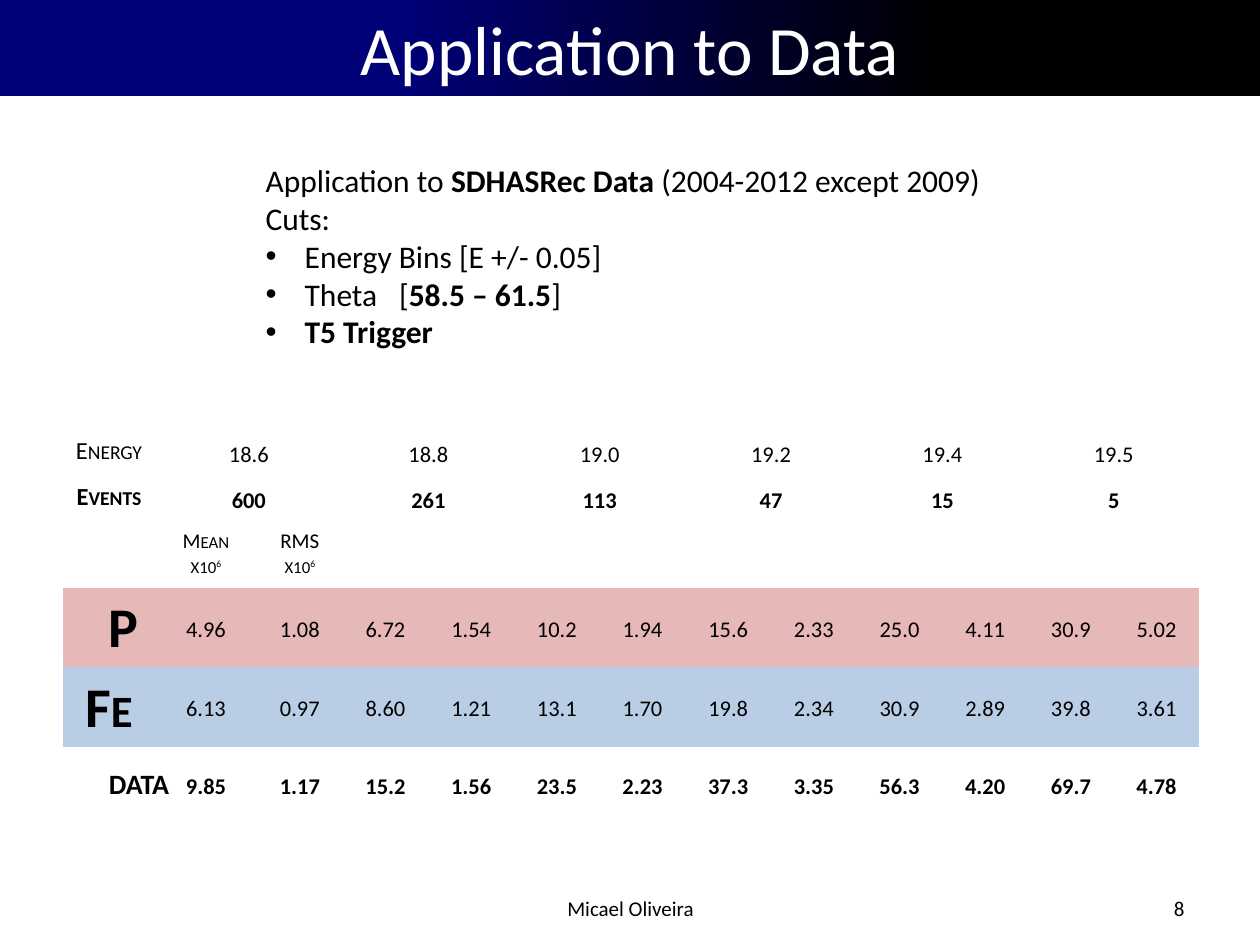
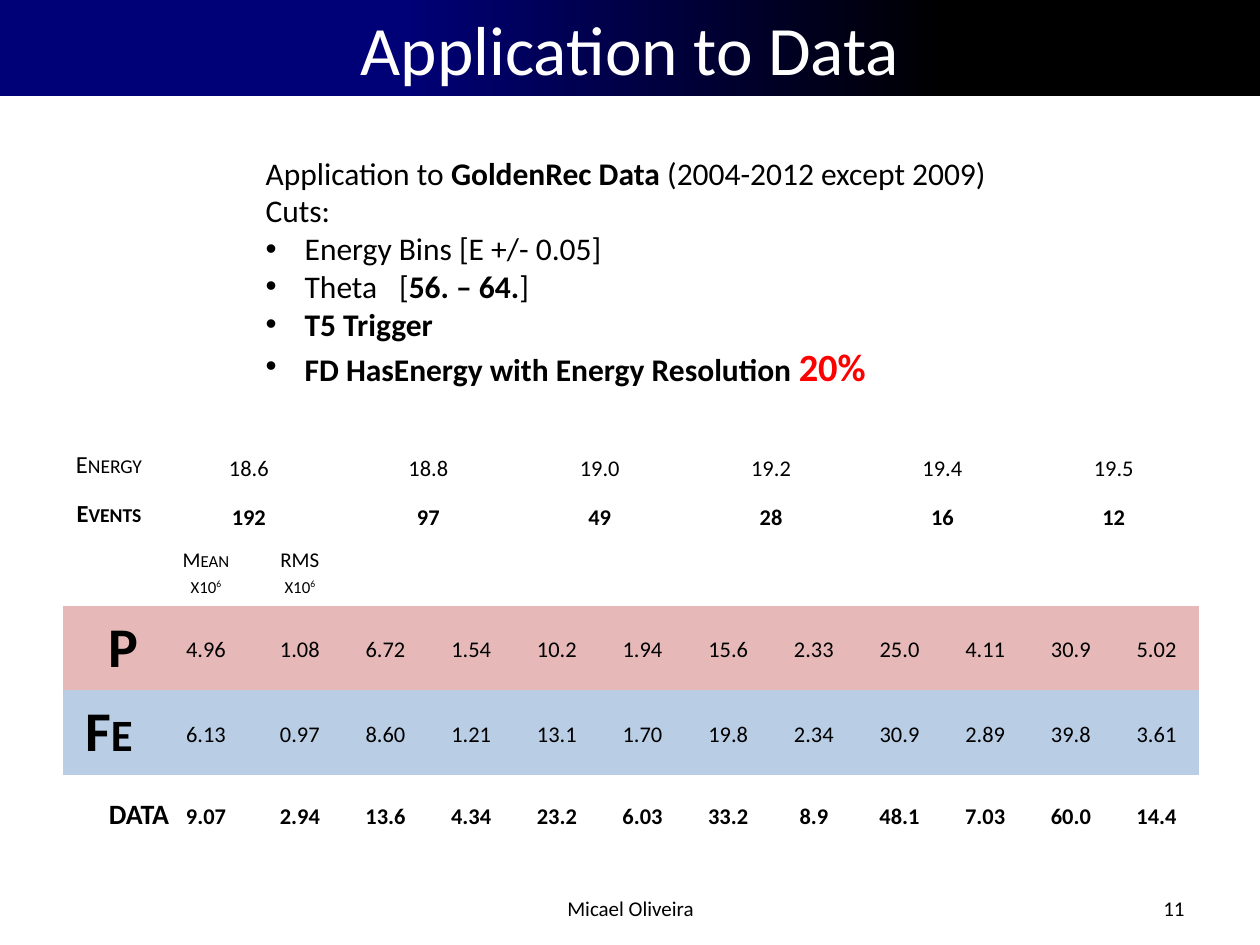
import pptx
import pptx.dml.color
import pptx.enum.text
import pptx.oxml
import pptx.oxml.ns
import pptx.util
from lxml import etree

FONT = "Calibri"
COLORS = {"navy": "000077", "black": "000000", "white": "FFFFFF",
          "proton": "E6B9B8", "iron": "B9CDE5", "alert": "FF0000"}
PLAIN_TABLE = "{2D5ABB26-0587-4C30-8999-92F81FD0307C}"
ALIGN = pptx.enum.text.PP_ALIGN
MIDDLE = pptx.enum.text.MSO_ANCHOR.MIDDLE

# The slide is a grid of 100 columns by 75 rows
prs = pptx.Presentation()
prs.slide_width = pptx.util.Inches(10)
prs.slide_height = pptx.util.Inches(7.5)
COL = prs.slide_width / 100
ROW = prs.slide_height / 75

# Regions as left, top, width, height on the grid
TITLE_BOX = (0, 0, 100, 7.6)
AUTHOR_BOX = (34.2, 70.1, 31.7, 4)
NUMBER_BOX = (71.7, 70.1, 23.3, 4)

COLUMN_WIDTHS = [7.3, 8.1] + [6.8] * 11
ENERGIES = ["18.6", "18.8", "19.0", "19.2", "19.4", "19.5"]
PROTON = "4.96 1.08 6.72 1.54 10.2 1.94 15.6 2.33 25.0 4.11 30.9 5.02".split()
IRON = "6.13 0.97 8.60 1.21 13.1 1.70 19.8 2.34 30.9 2.89 39.8 3.61".split()

# Each cut is a list of (text, run options)
BOLD = {"bold": True}
SLIDES = [
    {"number": "8", "source": "SDHASRec Data", "theta": "58.5 – 61.5",
     "extra_cuts": [],
     "cuts_box": (20.1, 12.3, 59.7, 16.2),
     "table_box": (5, 34.1, 90, 31.2),
     "row_heights": [3.2, 3.2, 5.2, 6, 6, 6],
     "events": ["600", "261", "113", "47", "15", "5"],
     "data": "9.85 1.17 15.2 1.56 23.5 2.23 37.3 3.35 56.3 4.20 69.7 4.78".split()},
    {"number": "11", "source": "GoldenRec Data", "theta": "56. – 64.",
     "extra_cuts": [[("FD HasEnergy with Energy Resolution ", BOLD),
                     ("20%", {"bold": True, "size": 22, "color": "alert"})]],
     "cuts_box": (20.1, 11.7, 59.7, 19.9),
     "table_box": (5, 35.2, 90, 32.6),
     "row_heights": [3.9, 3.9, 5.1, 6.7, 6.7, 6.3],
     "events": ["192", "97", "49", "28", "16", "12"],
     "data": "9.07 2.94 13.6 4.34 23.2 6.03 33.2 8.9 48.1 7.03 60.0 14.4".split()},
]


def rgb(name):
    return pptx.dml.color.RGBColor.from_string(COLORS[name])


def to_emu(box):
    x, y, w, h = box
    return int(x * COL), int(y * ROW), int(w * COL), int(h * ROW)


def add_run(p, text, size, color="black", bold=False, small=False, raised=False):
    r = p.add_run()
    r.text = text
    r.font.name, r.font.size, r.font.bold = FONT, pptx.util.Pt(size), bold
    r.font.color.rgb = rgb(color)
    rpr = r.font._element
    if small:
        rpr.set("cap", "small")
    if raised:
        rpr.set("baseline", "30000")


def add_bullet(p):
    indent = pptx.util.Inches(0.31)
    ppr = p._p.get_or_add_pPr()
    ppr.set("marL", str(indent))
    ppr.set("indent", str(-indent))
    etree.SubElement(ppr, pptx.oxml.ns.qn("a:buFont")).set("typeface", "Arial")
    etree.SubElement(ppr, pptx.oxml.ns.qn("a:buChar")).set("char", "•")
    return ppr


def add_tab_stop(ppr, inches):
    tabs = etree.SubElement(ppr, pptx.oxml.ns.qn("a:tabLst"))
    tab = etree.SubElement(tabs, pptx.oxml.ns.qn("a:tab"))
    tab.set("pos", str(pptx.util.Inches(inches)))
    tab.set("algn", "l")


def add_text_box(slide, box):
    tf = slide.shapes.add_textbox(*to_emu(box)).text_frame
    tf.word_wrap = True
    return tf


# Title band
def build_title(slide, box):
    sp = slide.shapes.title
    sp.left, sp.top, sp.width, sp.height = to_emu(box)
    sp.fill.gradient()
    sp.fill.gradient_angle = 0
    for stop, (color, position) in zip(sp.fill.gradient_stops,
                                       [("navy", 0.32), ("black", 0.75)]):
        stop.color.rgb = rgb(color)
        stop.position = position
    tf = sp.text_frame
    tf.auto_size = pptx.enum.text.MSO_AUTO_SIZE.NONE
    tf.vertical_anchor = pptx.enum.text.MSO_ANCHOR.TOP
    p = tf.paragraphs[0]
    p.alignment = ALIGN.CENTER
    add_run(p, "Application to Data", 39.6, "white")


# Footer
def build_footer(slide, number):
    for box, text, align in [(AUTHOR_BOX, "Micael Oliveira", ALIGN.CENTER),
                             (NUMBER_BOX, number, ALIGN.RIGHT)]:
        tf = add_text_box(slide, box)
        tf.vertical_anchor = MIDDLE
        tf.paragraphs[0].alignment = align
        add_run(tf.paragraphs[0], text, 12)


# Data source and list of cuts
def build_cuts(slide, box, source, theta, extra_cuts):
    intro = [[("Application to ", {}), (source, BOLD), (" (2004-2012 except 2009)", {})],
             [("Cuts:", {})]]
    cuts = [[("Energy Bins [E +/- 0.05]", {})],
            [("Theta\t[", {}), (theta, BOLD), ("]", {})],
            [("T5 Trigger", BOLD)]] + extra_cuts
    tf = add_text_box(slide, box)
    for i, line in enumerate(intro + cuts):
        p = tf.paragraphs[0] if i == 0 else tf.add_paragraph()
        if i >= len(intro):
            ppr = add_bullet(p)
            if "\t" in line[0][0]:
                add_tab_stop(ppr, 1.06)
        for text, options in line:
            add_run(p, text, **{"size": 18, **options})


def fill_cell(cell, text, size=16, bold=False, exponent=""):
    p = cell.text_frame.paragraphs[0]
    p.alignment = ALIGN.CENTER
    add_run(p, text, size, bold=bold, small=True)
    if exponent:
        add_run(p, exponent, size, bold=bold, small=True, raised=True)


# Table of means and spreads per energy bin
def build_results(slide, box, row_heights, events, data):
    frame = slide.shapes.add_table(len(row_heights), len(COLUMN_WIDTHS), *to_emu(box))
    table = frame.table
    table.first_row = table.horz_banding = False
    table._tbl.tblPr.find(pptx.oxml.ns.qn("a:tableStyleId")).text = PLAIN_TABLE
    for column, width in zip(table.columns, COLUMN_WIDTHS):
        column.width = int(width * COL)
    for row, height in zip(table.rows, row_heights):
        row.height = int(height * ROW)
    frame.height = to_emu(box)[3]
    for cell in table.iter_cells():
        cell.fill.background()

    # Header rows: one merged pair of columns per energy bin
    for i, (label, values, bold) in enumerate([("Energy", ENERGIES, False),
                                               ("Events", events, True)]):
        fill_cell(table.cell(i, 0), label, 14, bold)
        for j, value in enumerate(values):
            first = table.cell(i, 1 + 2 * j)
            first.merge(table.cell(i, 2 + 2 * j))
            fill_cell(first, value, bold=bold)
    for j, label in enumerate(["Mean x10", "RMS x10"], start=1):
        fill_cell(table.cell(2, j), label, 12, exponent="6")

    # Value rows
    rows = [("P", 32, PROTON, "proton", False), ("Fe", 32, IRON, "iron", False),
            ("DATA", 16, data, None, True)]
    for i, (label, label_size, values, color, bold) in enumerate(rows, start=3):
        fill_cell(table.cell(i, 0), label, label_size, True)
        for j, value in enumerate(values, start=1):
            fill_cell(table.cell(i, j), value, bold=bold)
        for cell in table.rows[i].cells:
            cell.vertical_anchor = MIDDLE
            if color:
                cell.fill.solid()
                cell.fill.fore_color.rgb = rgb(color)


def build_slide(content):
    slide = prs.slides.add_slide(prs.slide_layouts[5])
    build_title(slide, TITLE_BOX)
    build_footer(slide, content["number"])
    build_cuts(slide, content["cuts_box"], content["source"], content["theta"],
               content["extra_cuts"])
    build_results(slide, content["table_box"], content["row_heights"],
                  content["events"], content["data"])


def main():
    for content in SLIDES:
        build_slide(content)
    prs.save("out.pptx")


if __name__ == "__main__":
    main()
